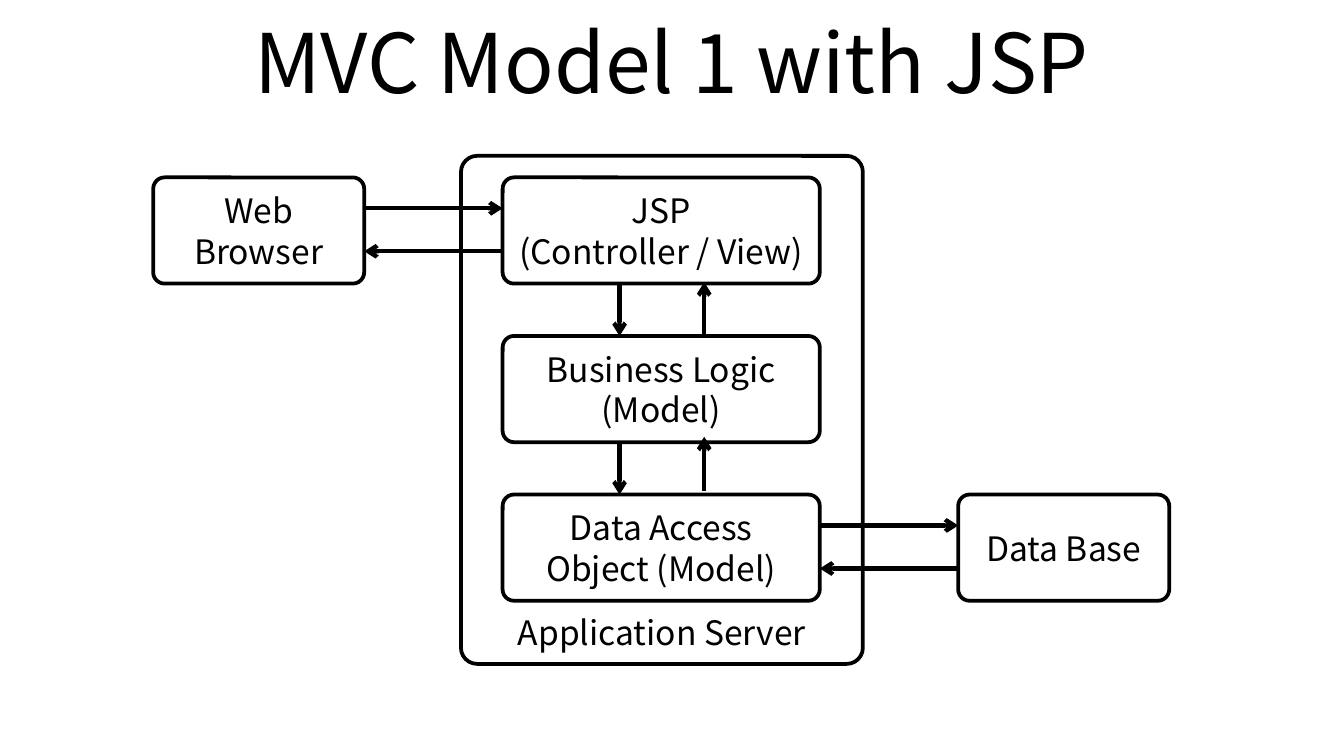
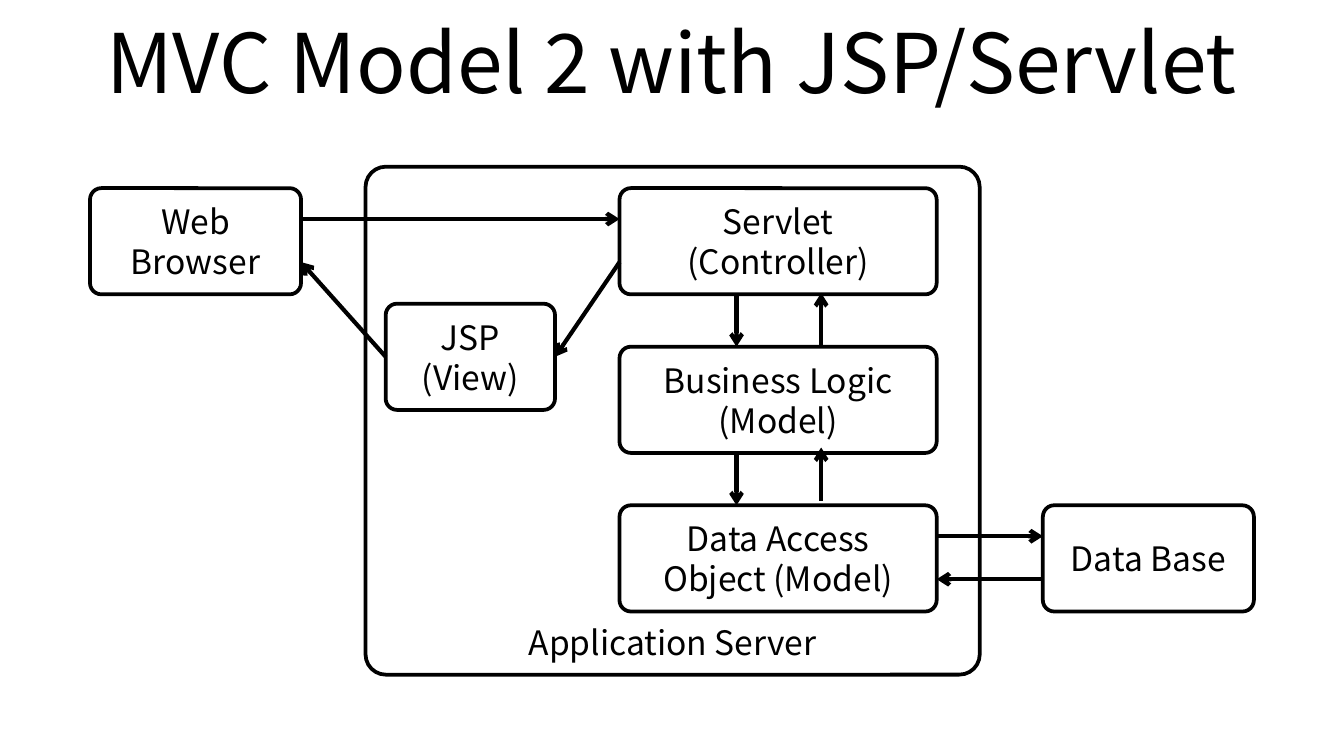
from lxml import etree
from pptx import Presentation
from pptx import util as u
from pptx.dml.color import RGBColor
from pptx.enum import shapes, text
from pptx.oxml.ns import qn

FONT = "Noto Sans CJK KR"
COLORS = {"ink": "000000", "paper": "FFFFFF"}
SLIDE_W = 10
BOX_H = 0.79
SIDE_W, TIER_W = 1.57, 2.36
TIER_STEP = 1.18
OUT_DY, BACK_DY = 0.23, 0.55


def color(name):
    """Return the named colour."""
    return RGBColor.from_string(COLORS[name])


def write(tf, lines, size, anchor):
    """Fill a text frame with centred lines."""
    tf.word_wrap = True
    tf.vertical_anchor = anchor
    for i, line in enumerate(lines):
        p = tf.paragraphs[0] if i == 0 else tf.add_paragraph()
        p.alignment = text.PP_ALIGN.CENTER
        r = p.add_run()
        r.text = line
        r.font.size = u.Pt(size)
        r.font.name = FONT
        r.font.color.rgb = color("ink")


def add_title(s, title):
    """Add the slide title."""
    sp = s.shapes.add_textbox(*map(u.Inches, (0.5, -0.02, 9, 0.94)))
    write(sp.text_frame, [title], 44, text.MSO_ANCHOR.MIDDLE)


def add_box(s, x, y, w, lines, h=BOX_H, radius=0.107, anchor=text.MSO_ANCHOR.MIDDLE):
    """Add an outlined rounded box with a label."""
    sp = s.shapes.add_shape(shapes.MSO_SHAPE.ROUNDED_RECTANGLE,
                            *map(u.Inches, (x, y, w, h)))
    sp.adjustments[0] = radius
    sp.shadow.inherit = False
    sp.fill.solid()
    sp.fill.fore_color.rgb = color("paper")
    sp.line.color.rgb = color("ink")
    sp.line.width = u.Pt(2)
    write(sp.text_frame, lines, 18, anchor)


def add_server(s, x, y, w):
    """Add the frame of the application server."""
    add_box(s, x, y, w, ["Application Server"], 3.78, 0.04, text.MSO_ANCHOR.BOTTOM)


def add_arrow(s, x1, y1, x2, y2):
    """Add an arrow that points to its first end."""
    cn = s.shapes.add_connector(shapes.MSO_CONNECTOR.STRAIGHT,
                                *map(u.Inches, (x1, y1, x2, y2)))
    cn.line.color.rgb = color("ink")
    cn.line.width = u.Pt(2.25)
    ln = cn._element.spPr.find(qn("a:ln"))
    etree.SubElement(ln, qn("a:headEnd")).set("type", "arrow")
    etree.SubElement(cn._element.spPr, qn("a:effectLst"))


def add_exchange(s, left, right, y):
    """Add a request arrow and the reply arrow below it."""
    add_arrow(s, right, y + OUT_DY, left, y + OUT_DY)
    add_arrow(s, left, y + BACK_DY, right, y + BACK_DY)


def add_tiers(s, x, y, front, db_x):
    """Add the column of server tiers and the data base beside it."""
    tiers = [front, ["Business Logic", "(Model)"], ["Data Access Object (Model)"]]
    for i, lines in enumerate(tiers):
        add_box(s, x, y + i * TIER_STEP, TIER_W, lines)
    for i, lift in enumerate((0, 0.03)):
        bottom = y + (i + 1) * TIER_STEP
        top = bottom - 0.4
        add_arrow(s, x + 0.87, bottom, x + 0.87, top)
        add_arrow(s, x + 1.5, top - lift, x + 1.5, bottom - lift)
    data_y = y + 2 * TIER_STEP
    add_box(s, db_x, data_y, SIDE_W, ["Data Base"])
    add_exchange(s, x + TIER_W, db_x, data_y)


def add_browser(s, x, y):
    """Add the web browser box."""
    add_box(s, x, y, SIDE_W, ["Web Browser"])


def add_model_1(s):
    """Draw the model in which JSP is both controller and view."""
    x, y, browser_x = 3.74, 1.32, 1.14
    add_server(s, 3.43, 1.16, 2.99)
    add_title(s, "MVC Model 1 with JSP")
    add_browser(s, browser_x, y)
    add_tiers(s, x, y, ["JSP", "(Controller / View)"], 7.13)
    add_exchange(s, browser_x + SIDE_W, x, y)


def add_model_2(s):
    """Draw the model in which a servlet controls and JSP is the view."""
    x, y, browser_x = 4.61, 1.4, 0.67
    view_x, view_y, view_w = 2.87, 2.26, 1.26
    browser_right, view_mid = browser_x + SIDE_W, view_y + BOX_H / 2
    add_title(s, "MVC Model 2 with JSP/Servlet")
    add_server(s, 2.72, 1.24, 4.57)
    add_browser(s, browser_x, y)
    add_tiers(s, x, y, ["Servlet", "(Controller)"], 7.76)
    add_box(s, view_x, view_y, view_w, ["JSP", "(View)"])
    add_arrow(s, x, y + OUT_DY, browser_right, y + OUT_DY)
    add_arrow(s, view_x + view_w, view_mid, x, y + BACK_DY)
    add_arrow(s, browser_right, y + BACK_DY, view_x, view_mid)


def main():
    """Build and save the slides."""
    prs = Presentation()
    prs.slide_width = u.Inches(SLIDE_W)
    prs.slide_height = u.Inches(SLIDE_W * 9 / 16)
    for draw in (add_model_1, add_model_2):
        draw(prs.slides.add_slide(prs.slide_layouts[6]))
    prs.save("out.pptx")


if __name__ == "__main__":
    main()
